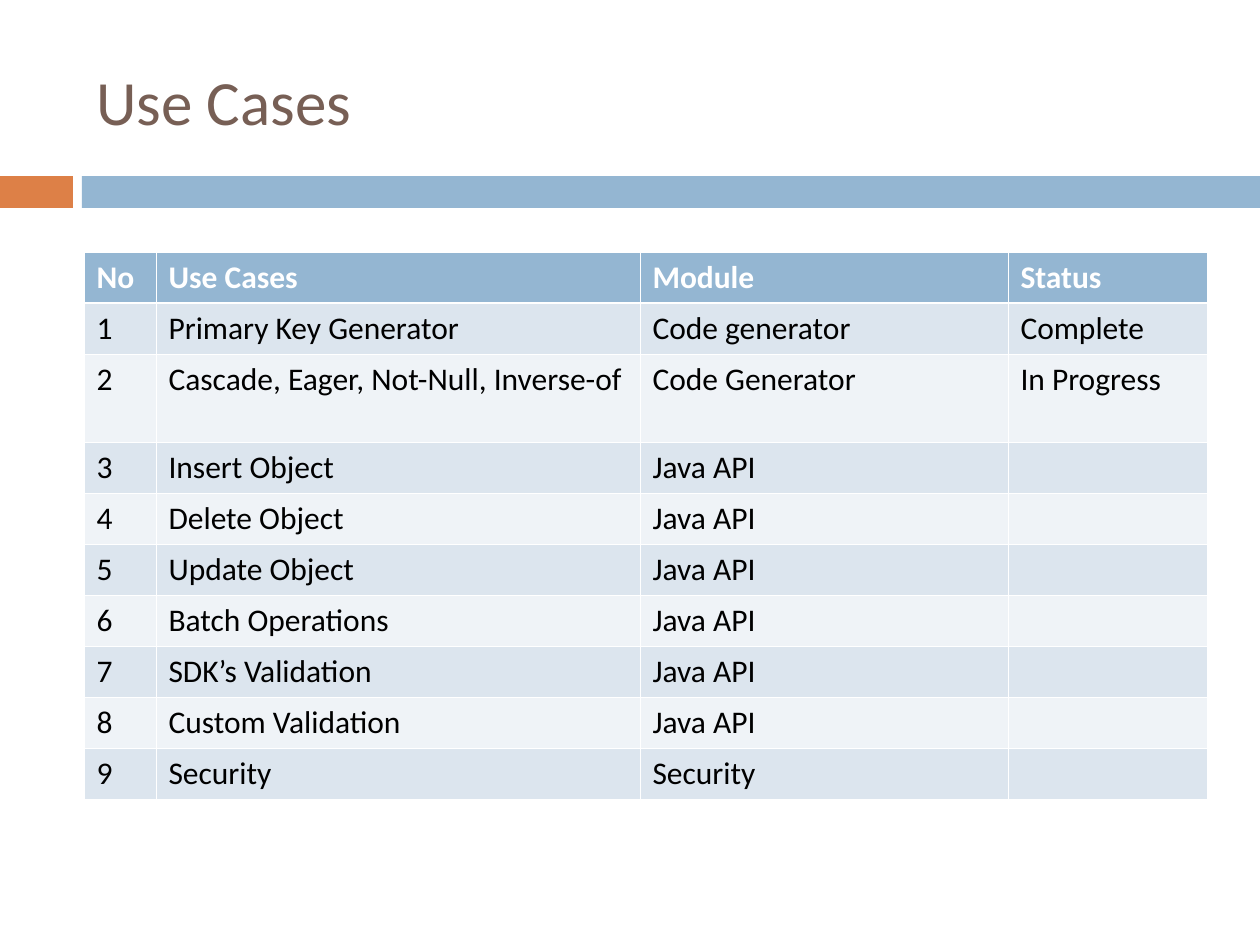
from typing import NamedTuple

from lxml.etree import SubElement
from pptx import Presentation
from pptx.dml.color import RGBColor
from pptx.enum.shapes import MSO_SHAPE as Shape
from pptx.enum.text import MSO_ANCHOR as Anchor
from pptx.oxml.ns import qn
from pptx.util import Emu, Pt

PX_PER_INCH = 126
FONT = "Calibri"
COLORS = {
    "title": "775F55",
    "orange": "DD8047",
    "blue": "94B6D2",
    "odd": "DCE5EE",
    "even": "EFF3F7",
    "white": "FFFFFF",
    "black": "000000",
}


class Bar(NamedTuple):
    left: int
    width: int
    color: str


class UseCase(NamedTuple):
    name: str
    module: str
    status: str = ""


BARS = [Bar(0, 73, "orange"), Bar(82, 1178, "blue")]
HEADER = ("No", "Use Cases", "Module", "Status")
USE_CASES = [
    UseCase("Primary Key Generator", "Code generator", "Complete"),
    UseCase("Cascade, Eager, Not-Null, Inverse-of", "Code Generator", "In Progress"),
    UseCase("Insert Object", "Java API"),
    UseCase("Delete Object", "Java API"),
    UseCase("Update Object", "Java API"),
    UseCase("Batch Operations", "Java API"),
    UseCase("SDK’s Validation", "Java API"),
    UseCase("Custom Validation", "Java API"),
    UseCase("Security", "Security"),
]
COLUMN_WIDTHS = (72, 484, 368, 199)
ROW_HEIGHT, TALL_ROW_HEIGHT, TALL_ROW = 51, 88, 2
THIN, THICK = 0.45, 1.47


def px(value: int) -> Emu:
    return Emu(round(value * 914400 / PX_PER_INCH))


def rgb(name: str) -> RGBColor:
    return RGBColor.from_string(COLORS[name])


def style_text(para, size: int, color: str, bold: bool = False) -> None:
    font = para.font
    font.name, font.size, font.bold = FONT, Pt(size), bold
    font.color.rgb = rgb(color)


def draw_bar(page, bar: Bar) -> None:
    shape = page.shapes.add_shape(Shape.RECTANGLE, px(bar.left), px(176), px(bar.width), px(32))
    shape.shadow.inherit = False
    shape.fill.solid()
    shape.fill.fore_color.rgb = rgb(bar.color)
    shape.line.fill.background()


def draw_title(page, text: str) -> None:
    box = page.shapes.add_textbox(px(84), px(32), px(1124), px(136))
    frame = box.text_frame
    frame.word_wrap = True
    frame.vertical_anchor = Anchor.MIDDLE
    frame.text = text
    style_text(frame.paragraphs[0], 36, "title")


def add_borders(cell, top: float, bottom: float) -> None:
    properties = cell._tc.get_or_add_tcPr()
    for side, width in (("L", THIN), ("R", THIN), ("T", top), ("B", bottom)):
        line = SubElement(properties, qn(f"a:ln{side}"), w=str(Pt(width)))
        fill = SubElement(line, qn("a:solidFill"))
        SubElement(fill, qn("a:srgbClr"), val=COLORS["white"])


def draw_cell(cell, text: str, row: int) -> None:
    header = row == 0
    add_borders(cell, THICK if row == 1 else THIN, THICK if header else THIN)
    cell.fill.solid()
    cell.fill.fore_color.rgb = rgb("blue" if header else "odd" if row % 2 else "even")
    cell.text = text
    style_text(cell.text_frame.paragraphs[0], 18, "white" if header else "black", header)


def draw_table(page, use_cases: list[UseCase]) -> None:
    rows = [HEADER, *((str(number), *case) for number, case in enumerate(use_cases, 1))]
    heights = [TALL_ROW_HEIGHT if row == TALL_ROW else ROW_HEIGHT for row in range(len(rows))]
    table = page.shapes.add_table(
        len(rows), len(HEADER), px(84), px(252), px(sum(COLUMN_WIDTHS)), px(sum(heights))
    ).table
    for column, width in zip(table.columns, COLUMN_WIDTHS):
        column.width = px(width)
    for row, (texts, height) in enumerate(zip(rows, heights)):
        table.rows[row].height = px(height)
        for column, text in enumerate(texts):
            draw_cell(table.cell(row, column), text, row)


def main() -> None:
    """Build the use case status slide."""
    deck = Presentation()
    deck.slide_width, deck.slide_height = px(1260), px(945)
    page = deck.slides.add_slide(deck.slide_layouts[6])
    for bar in BARS:
        draw_bar(page, bar)
    draw_title(page, "Use Cases")
    draw_table(page, USE_CASES)
    deck.save("out.pptx")


if __name__ == "__main__":
    main()
